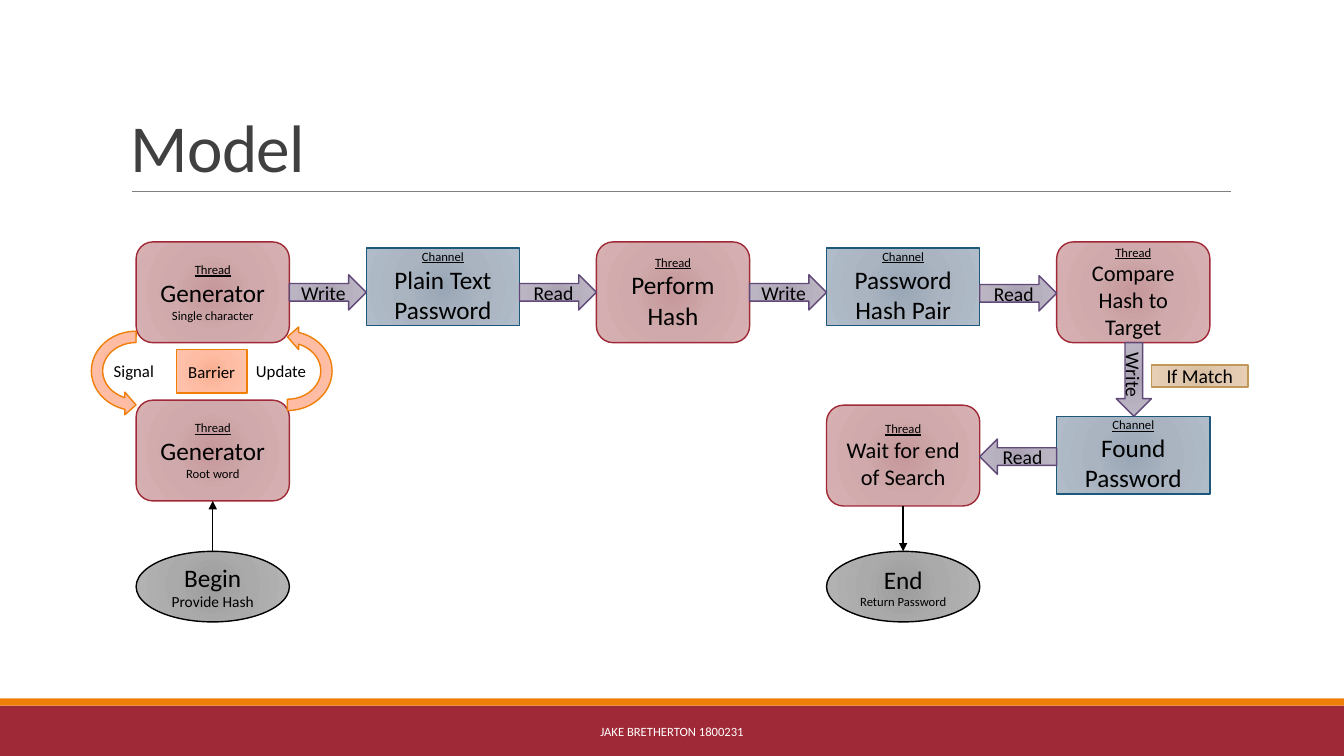
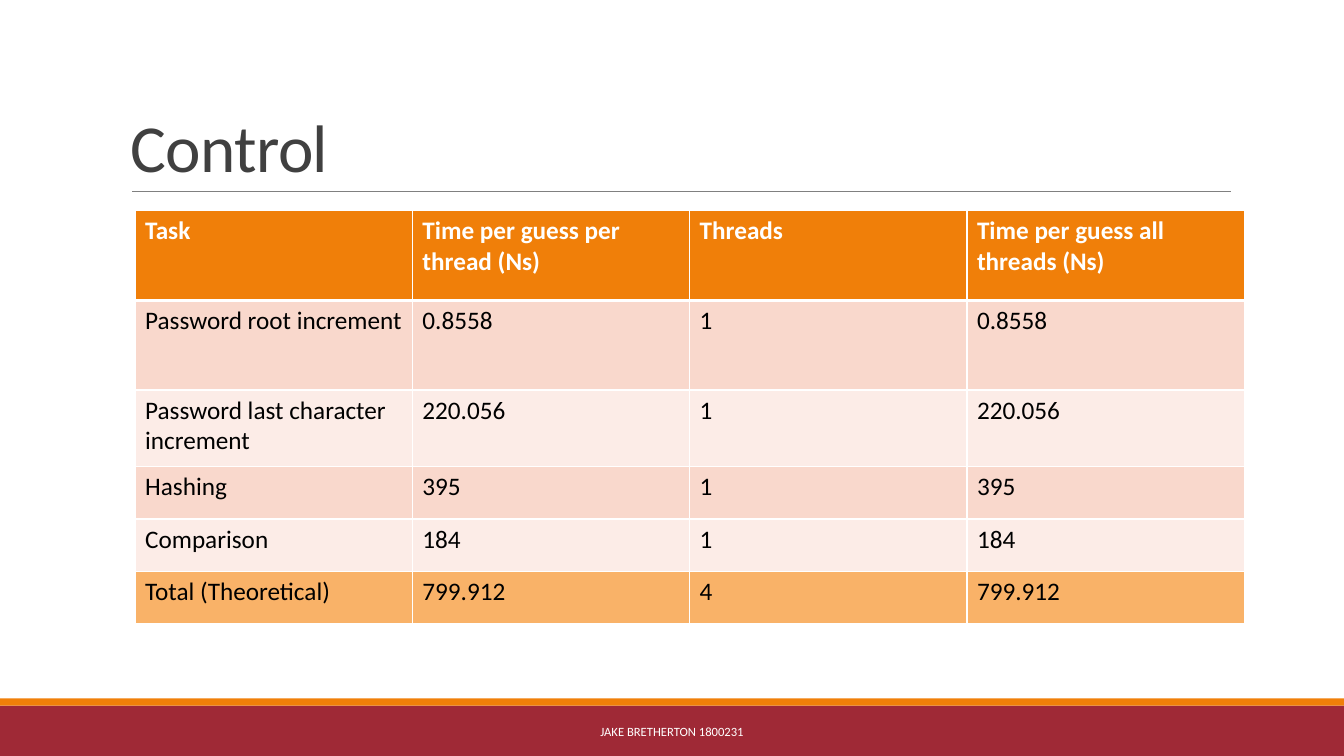
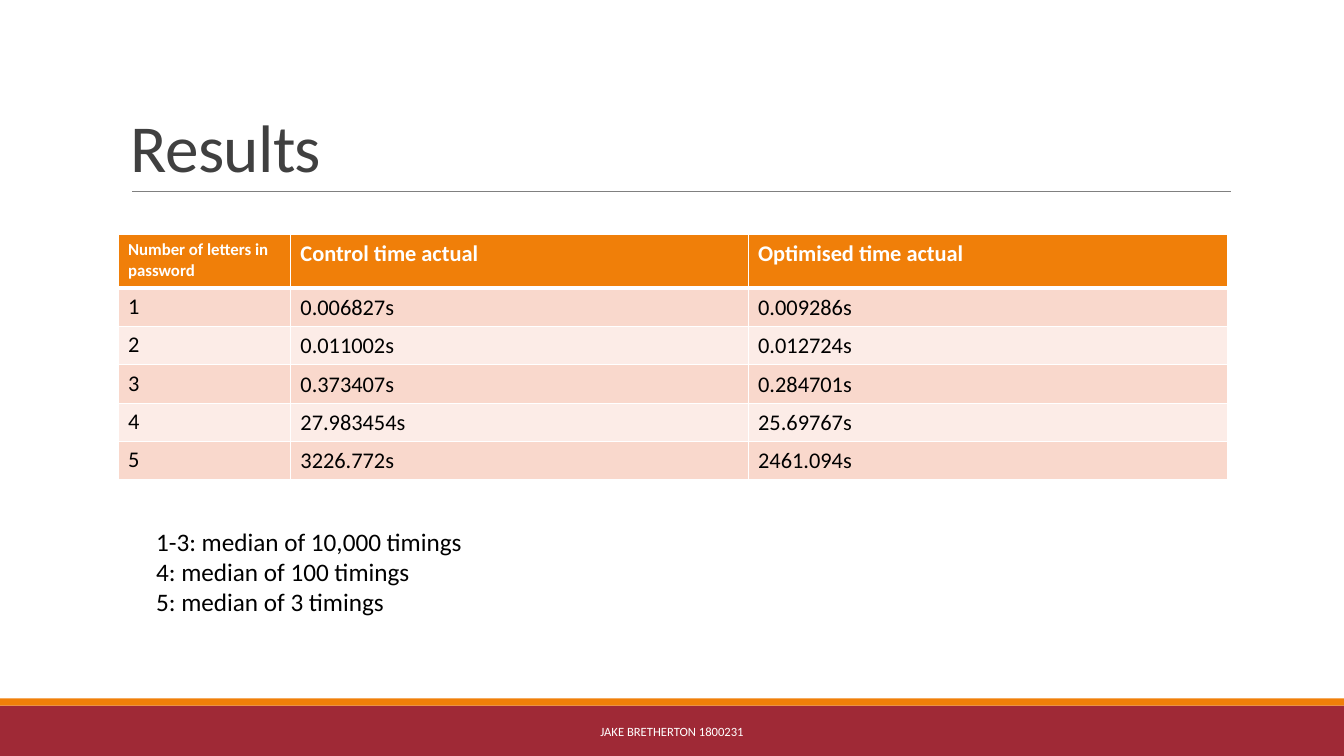
from lxml.etree import SubElement
from pptx import Presentation
from pptx.dml.color import RGBColor
from pptx.enum.shapes import MSO_CONNECTOR, MSO_SHAPE
from pptx.enum.text import MSO_ANCHOR, PP_ALIGN
from pptx.oxml.ns import qn
from pptx.util import Inches, Pt

# Shared style
WIDE, HIGH = 13.33, 7.5
FONT = "Calibri"
HUES = {
    "red": "9F2936", "orange": "F07F09", "rule": "808080", "title": "404040",
    "black": "000000", "white": "FFFFFF", "total": "F9B268",
    "odd": "F9D8CC", "even": "FCECE7",
}
# Line colour, then the three stops of the fill
TINTS = {
    "thread": ("9F2936", "C6989B", "CFA9AB", "D7B0B2"),
    "channel": ("1B587C", "99A6B5", "A9B4C0", "B1BCC9"),
    "arrow": ("604878", "A8A0B2", "B6AFBE", "BEB7C6"),
    "sync": ("F07F09", "F9AE90", "FDBCA3", "FFC3AC"),
    "match": ("C19859", "D8BEA0", "E0C9B0", "E7CFB5"),
    "end": ("000000", "9C9C9C", "AAAAAA", "B4B4B4"),
}
STOPS = (0, 45, 100)
FOOTER = "JAKE BRETHERTON 1800231"

# Model: five equal columns
LEFT, LAST, BOX, THICK = 1.35, 10.48, 1.52, 0.35
STEP = (LAST - LEFT) / 4
KINDS = {
    "thread": (MSO_SHAPE.ROUNDED_RECTANGLE, 1),
    "channel": (MSO_SHAPE.RECTANGLE, 0.77),
    "end": (MSO_SHAPE.OVAL, 0.7),
}
# name: kind, column, top, lines of (text, size)
NODES = {
    "plain": ("channel", 1, 2.46, [("Plain Text Password", 18)]),
    "char": ("thread", 0, 2.4, [("Generator", 18), ("Single character", 9)]),
    "root": ("thread", 0, 3.97, [("Generator", 18), ("Root word", 9)]),
    "hash": ("thread", 2, 2.4, [("Perform Hash", 18)]),
    "pair": ("channel", 3, 2.46, [("Password Hash Pair", 18)]),
    "check": ("thread", 4, 2.4, [("Compare Hash to Target", 16)]),
    "found": ("channel", 4, 4.13, [("Found Password", 18)]),
    "wait": ("thread", 3, 4.02, [("Wait for end of Search", 16)]),
    "begin": ("end", 0, 5.47, [("Begin", 18), ("Provide Hash", 11)]),
    "stop": ("end", 3, 5.47, [("End", 18), ("Return Password", 9)]),
}
# text, column on its left, middle height, flip
FLOWS = [
    ("Write", 0, 2.9, None), ("Read", 1, 2.9, None), ("Write", 2, 2.9, None),
    ("Read", 3, 2.91, None), ("Read", 3, 4.53, "flipH"),
]
# left of arrow, turn, label, label box
LOOPS = [
    (0.9, 90, "Signal", (1.03, 3.53, 0.63, 0.3)),
    (2.4, 270, "Update", (2.44, 3.53, 0.72, 0.3)),
]
TAGS = [
    ("Barrier", 12, "sync", (1.75, 3.47, 0.7, 0.43)),
    ("If Match", 14, "match", (11.42, 3.62, 0.96, 0.22)),
]
LINKS = [("begin", 0, "root", 2), ("wait", 2, "stop", 0)]

# Tables
CONTROL = [
    ("Task", "Time per guess per thread (Ns)", "Threads",
     "Time per guess all threads (Ns)"),
    ("Password root increment", "0.8558", "1", "0.8558"),
    ("Password last character increment", "220.056", "1", "220.056"),
    ("Hashing", "395", "1", "395"),
    ("Comparison", "184", "1", "184"),
    ("Total (Theoretical)", "799.912", "4", "799.912"),
]
RESULTS = [
    ("Number of letters in password", "Control time actual",
     "Optimised time actual"),
    ("1", "0.006827s", "0.009286s"),
    ("2", "0.011002s", "0.012724s"),
    ("3", "0.373407s", "0.284701s"),
    ("4", "27.983454s", "25.69767s"),
    ("5", "3226.772s", "2461.094s"),
]
NOTES = [
    "1-3: median of 10,000 timings",
    "4: median of 100 timings",
    "5: median of 3 timings",
]


def rgb(hue):
    return RGBColor.from_string(HUES.get(hue, hue))


def inch(box):
    return [Inches(n) for n in box]


def write(frame, lines, size=18, hue="black", align=None, anchor=None,
          bold=False, space=None, track=None):
    """Each line is a text, or a tuple of text, size and underline."""
    frame.word_wrap = True
    if anchor is not None:
        frame.vertical_anchor = anchor
    for i, line in enumerate(lines):
        text, pts, under = line if isinstance(line, tuple) else (line, size, False)
        par = frame.add_paragraph() if i else frame.paragraphs[0]
        par.alignment = align
        if space:
            par.line_spacing = space
        run = par.add_run()
        run.text = text
        font = run.font
        font.name, font.size, font.bold = FONT, Pt(pts), bold
        font.underline = under
        font.color.rgb = rgb(hue)
        if track:
            run._r.get_or_add_rPr().set("spc", str(track))


def label(slide, box, lines, **style):
    write(slide.shapes.add_textbox(*inch(box)).text_frame, lines, **style)


def band(slide, box, hue):
    bar = slide.shapes.add_shape(MSO_SHAPE.RECTANGLE, *inch(box))
    bar.shadow.inherit = False
    bar.fill.solid()
    bar.fill.fore_color.rgb = rgb(hue)
    bar.line.fill.background()


def glow(slide, form, box, tint, lines=(), turn=0, flip=None):
    """Add a shape with a radial fill and centred text."""
    part = slide.shapes.add_shape(form, *inch(box))
    part.shadow.inherit = False
    part.rotation = turn
    edge, *tones = TINTS[tint]
    part.line.color.rgb, part.line.width = rgb(edge), Pt(1)
    part.fill.background()
    props = part._element.spPr
    if flip:
        props.find(qn("a:xfrm")).set(flip, "1")
    blank = props.find(qn("a:noFill"))
    grad = SubElement(props, qn("a:gradFill"), rotWithShape="1")
    props.replace(blank, grad)
    stops = SubElement(grad, qn("a:gsLst"))
    for pos, tone in zip(STOPS, tones):
        stop = SubElement(stops, qn("a:gs"), pos=str(pos * 1000))
        SubElement(stop, qn("a:srgbClr"), val=tone)
    ring = SubElement(grad, qn("a:path"), {"path": "circle"})
    SubElement(ring, qn("a:fillToRect"), {side: "100000" for side in "ltrb"})
    write(part.text_frame, lines, align=PP_ALIGN.CENTER, anchor=MSO_ANCHOR.MIDDLE)
    return part


def rule(slide, ends, hue, width):
    line = slide.shapes.add_connector(MSO_CONNECTOR.STRAIGHT, *inch(ends))
    line.line.color.rgb, line.line.width = rgb(hue), Pt(width)
    SubElement(line._element.spPr, qn("a:effectLst"))
    return line


def page(deck, title):
    """Add a slide with the shared bands, rule, title and footer."""
    slide = deck.slides.add_slide(deck.slide_layouts[6])
    band(slide, (0, 7, WIDE, 0.5), "red")
    band(slide, (0, 6.93, WIDE, 0.07), "orange")
    rule(slide, (1.31, 1.9, 12.21, 1.9), "rule", 0.5)
    label(slide, (1.2, 0.31, 11, 1.59), [title], size=48, hue="title",
          anchor=MSO_ANCHOR.BOTTOM, space=0.85, track=-50)
    label(slide, (4.03, 7.06, 5.27, 0.4), [FOOTER], size=9, hue="white",
          align=PP_ALIGN.CENTER, anchor=MSO_ANCHOR.MIDDLE)
    return slide


def grid(slide, left, top, cols, rows, data, size, small=None, total=False,
         low=False):
    """Add a table; small sizes the first heading, low drops the values."""
    box = inch((left, top, sum(cols), sum(rows)))
    table = slide.shapes.add_table(len(rows), len(cols), *box).table
    for col, wide in zip(table.columns, cols):
        col.width = Inches(wide)
    for r, (row, high) in enumerate(zip(table.rows, rows)):
        row.height = Inches(high)
        head = r == 0
        hue = "orange" if head else "odd" if r % 2 else "even"
        if total and r == len(rows) - 1:
            hue = "total"
        for c, cell in enumerate(row.cells):
            props = cell._tc.get_or_add_tcPr()
            for side in "LRTB":
                thick = (r, side) in ((0, "B"), (1, "T"))
                edge = SubElement(props, qn("a:ln" + side),
                                  w=str(Pt(3 if thick else 1)))
                ink = SubElement(edge, qn("a:solidFill"))
                SubElement(ink, qn("a:srgbClr"), val=HUES["white"])
            cell.fill.solid()
            cell.fill.fore_color.rgb = rgb(hue)
            write(cell.text_frame, [data[r][c]], bold=head,
                  size=small if small and head and c == 0 else size,
                  hue="white" if head else "black")
            if low and r and c:
                cell.vertical_anchor = MSO_ANCHOR.BOTTOM


def model(deck):
    slide = page(deck, "Model")
    # Boxes
    made = {}
    for name, (kind, col, top, lines) in NODES.items():
        form, high = KINDS[kind]
        head = [] if kind == "end" else [(kind.title(), 9, True)]
        made[name] = glow(slide, form, (LEFT + col * STEP, top, BOX, high), kind,
                          head + [(*line, False) for line in lines])
    # Block arrows fill the gaps between columns
    for text, col, mid, flip in FLOWS:
        box = (LEFT + col * STEP + BOX, mid - THICK / 2, STEP - BOX, THICK)
        glow(slide, MSO_SHAPE.RIGHT_ARROW, box, "arrow", [(text, 14, False)],
             flip=flip)
    glow(slide, MSO_SHAPE.RIGHT_ARROW, (10.88, 3.59, 0.73, THICK), "arrow",
         [("Write", 14, False)], turn=90)
    # Loop between the generators
    for left, turn, text, box in LOOPS:
        glow(slide, MSO_SHAPE.CIRCULAR_ARROW, (left, 3.18, 0.9, 1), "sync",
             turn=turn, flip="flipV")
        label(slide, box, [text], size=12)
    for text, size, tint, box in TAGS:
        glow(slide, MSO_SHAPE.RECTANGLE, box, tint, [(text, size, False)])
    # Start and end links
    for start, out, goal, into in LINKS:
        link = rule(slide, (0, 0, 1, 1), "black", 1)
        link.begin_connect(made[start], out)
        link.end_connect(made[goal], into)
        SubElement(link.line._get_or_add_ln(), qn("a:tailEnd"), type="triangle")


def main():
    deck = Presentation()
    deck.slide_width, deck.slide_height = inch((WIDE, HIGH))
    model(deck)
    grid(page(deck, "Control"), 1.34, 2.09, [2.75] * 4,
         [0.89, 0.89, 0.76] + [0.52] * 3, CONTROL, 18, total=True)
    slide = page(deck, "Results")
    grid(slide, 1.17, 2.33, [1.71, 4.54, 4.76], [0.53] + [0.38] * 5, RESULTS, 16,
         small=12, low=True)
    label(slide, (1.45, 5.17, 3.27, 1.01), NOTES)
    deck.save("out.pptx")


if __name__ == "__main__":
    main()
